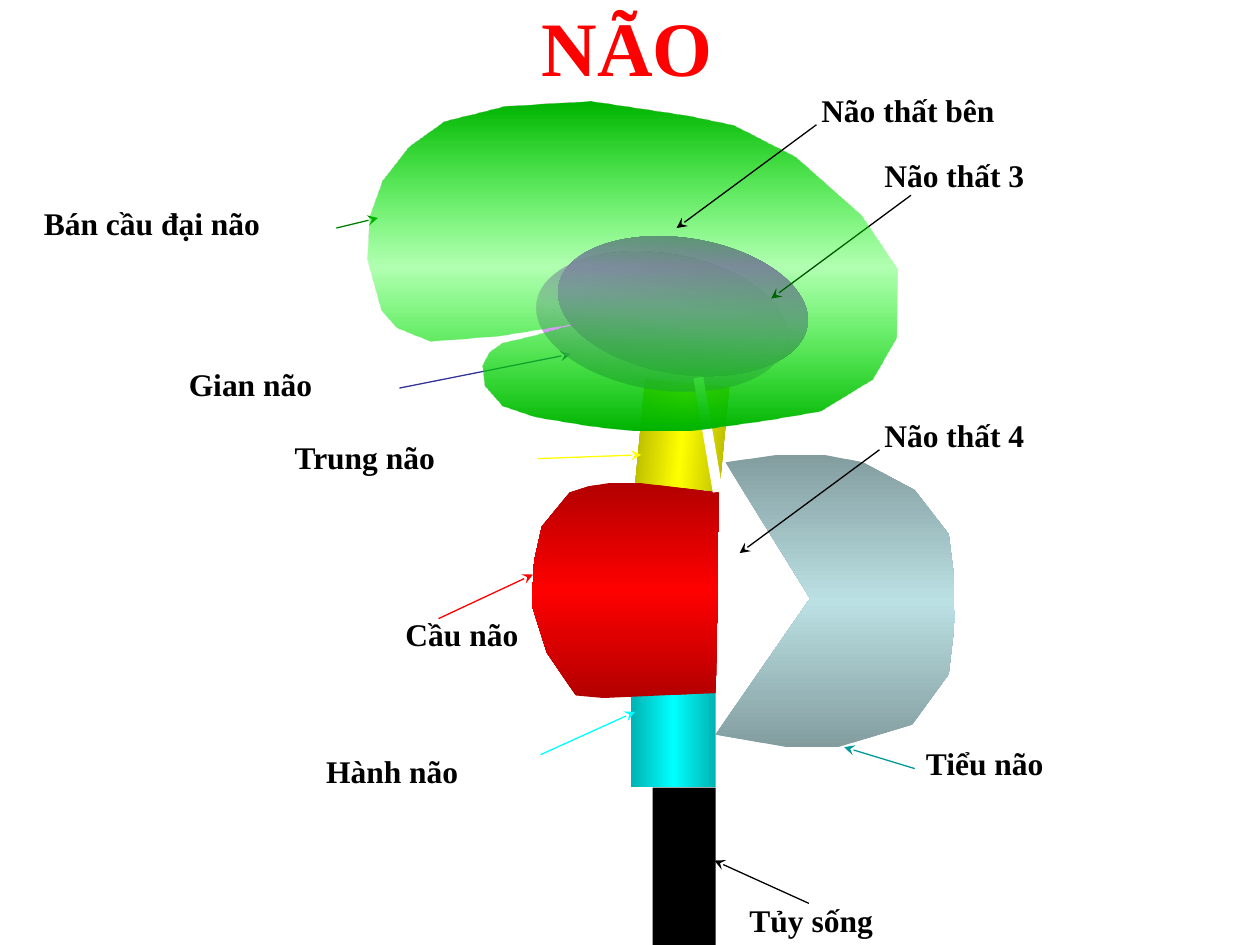
from lxml import etree
from pptx import Presentation, util as u
from pptx.dml.color import RGBColor
from pptx.enum import shapes as kinds, text as txt
from pptx.oxml.ns import qn

RECT, OVAL = kinds.MSO_SHAPE.RECTANGLE, kinds.MSO_SHAPE.OVAL
PONS = [(1.46, 1.67), (0.57, 1.71), (0.35, 1.69), (0.12, 1.35), (0, 0.97), (0.02, 0.62),
        (0.08, 0.35), (0.3, 0.08), (0.45, 0.03), (0.64, 0), (0.83, 0), (1.49, 0.08)]
CEREBELLUM = [(0.08, 0.06), (0.75, 1.14), (0, 2.22), (0.57, 2.32), (0.97, 2.32), (1.56, 2.14),
              (1.85, 1.74), (1.9, 1.31), (1.89, 0.95), (1.85, 0.63), (1.58, 0.28),
              (1.17, 0.06), (0.86, 0), (0.49, 0)]
CEREBRUM = [(1.65, 1.76), (1.02, 1.86), (0.5, 1.9), (0.23, 1.79), (0.11, 1.65), (0, 1.25),
            (0.02, 0.91), (0.12, 0.63), (0.33, 0.36), (0.61, 0.16), (1.09, 0.04), (1.77, 0),
            (2.51, 0.11), (2.9, 0.19), (3.39, 0.44), (3.91, 0.9), (4.2, 1.33), (4.19, 1.87),
            (4, 2.2), (3.59, 2.45), (3.19, 2.52), (2.55, 2.61), (2.12, 2.61), (1.77, 2.57),
            (1.34, 2.5), (1.07, 2.41), (0.93, 2.25), (0.91, 2.09), (0.97, 1.98),
            (1.07, 1.91), (1.25, 1.87)]


def tint(color, hue):
    """Set a colour from a hex string."""
    color.rgb = RGBColor.from_string(hue)


def paint(shape, edge, mid=None, angle=90, alpha=100):
    """Fill a shape flat, or shade it from edge to mid and back."""
    shape.shadow.inherit = False
    shape.line.fill.background()
    if mid is None:
        shape.fill.solid()
        tint(shape.fill.fore_color, edge)
        return
    shape.fill.gradient()
    shape.fill.gradient_angle = angle
    stops = shape.fill._fill._gradFill.find(qn("a:gsLst"))
    for old in list(stops):
        stops.remove(old)
    for place, hue, seen in ((0, edge, 100), (50, mid, alpha), (100, edge, 100)):
        stop = etree.SubElement(stops, qn("a:gs"), pos=str(place * 1000))
        color = etree.SubElement(stop, qn("a:srgbClr"), val=hue)
        if seen < 100:
            etree.SubElement(color, qn("a:alpha"), val=str(seen * 1000))


def block(group, kind, box, *fill, turn=0, **shade):
    """Place a painted preset shape in its box."""
    shape = group.shapes.add_shape(kind, *map(u.Inches, box))
    shape.rotation = turn
    paint(shape, *fill, **shade)


def lobe(group, left, top, points, *fill, **shade):
    """Place a painted outline whose points are relative to left and top."""
    spots = [(u.Inches(left + x), u.Inches(top + y)) for x, y in points]
    pen = group.shapes.build_freeform(*spots[0])
    pen.add_line_segments(spots[1:], close=True)
    paint(pen.convert_to_shape(), *fill, **shade)


def write(group, box, words, size, hue):
    """Add a text box with one bold run and return it."""
    area = group.shapes.add_textbox(*map(u.Inches, box))
    area.text_frame.word_wrap = True
    run = area.text_frame.paragraphs[0].add_run()
    run.text = words
    run.font.name, run.font.size, run.font.bold = "Times New Roman", u.Pt(size), True
    tint(run.font.color, hue)
    return area


def arrow(group, start, end, hue):
    """Draw a thin arrow from start to end."""
    line = group.shapes.add_connector(kinds.MSO_CONNECTOR.STRAIGHT,
                                      *map(u.Inches, (*start, *end)))
    line.line.width = u.Pt(0.75)
    tint(line.line.color, hue)
    etree.SubElement(line.line._ln, qn("a:tailEnd"), type="stealth")
    etree.SubElement(line._element.spPr, qn("a:effectLst"))


def note(group, left, top, width, words, tail, tip, hue="000000"):
    """Place a label and its arrow, both ends relative to the label."""
    start, end = [(left + x, top + y) for x, y in (tail, tip)]
    arrow(group, start, end, hue)
    area = write(group, (left, top, width, 0.4), words, 18, "000000")
    area.text_frame.auto_size = txt.MSO_AUTO_SIZE.SHAPE_TO_FIT_TEXT
    props = area.text_frame.paragraphs[0]._p.get_or_add_pPr()
    props.set("marL", str(u.Inches(0.5)))
    props.set("indent", str(-u.Inches(0.5)))


def title(slide, box):
    """Place the heading in its box."""
    frame = write(slide, box, "NÃO", 44, "FF0000").text_frame
    frame.vertical_anchor = txt.MSO_ANCHOR.MIDDLE
    frame.paragraphs[0].alignment = txt.PP_ALIGN.CENTER


def stem(slide):
    """Build the cord, medulla, midbrain and pons."""
    cord, bulb, mid, pons = [slide.shapes.add_group_shape() for _ in range(4)]
    block(cord, RECT, (5.18, 6.25, 0.5, 1.25), "000000")
    note(cord, 5.85, 7.1, 1.67, "Tủy sống", (0.57, 0.07), (-0.18, -0.27))
    block(bulb, RECT, (5.01, 5.5, 0.67, 0.75), "00B3B3", "00FFFF", angle=0)
    note(bulb, 2.49, 5.92, 2.76, "Hành não", (1.8, 0.07), (2.55, -0.27), "00FFFF")
    block(mid, RECT, (5.08, 3.04, 0.67, 0.83), "B3B300", "FFFF00", angle=0, turn=5.5)
    note(mid, 2.24, 3.43, 2.76, "Trung não", (2.03, 0.21), (2.85, 0.18), "FFFF00")
    note(pons, 3.12, 4.83, 1.74, "Cầu não", (0.36, 0.08), (1.11, -0.27), "FF0000")
    lobe(pons, 4.22, 3.83, PONS, "B30000", "FF0000")


def core(slide):
    """Build the two ovals of the diencephalon."""
    block(slide, OVAL, (4.42, 1.89, 2, 1.08), "8F47B3", "CC66FF", turn=8.9)
    group = slide.shapes.add_group_shape()
    note(group, 1.4, 2.85, 1.99, "Gian não", (1.77, 0.23), (3.13, -0.04), "333399")
    block(group, OVAL, (4.25, 2.01, 2, 1.08), "8F47B3", "CC66FF", turn=8.9, alpha=50)


def rear(slide):
    """Build the cerebellum."""
    group = slide.shapes.add_group_shape()
    lobe(group, 5.68, 3.61, CEREBELLUM, "839D9F", "BBE0E3")
    note(group, 7.25, 5.86, 1.59, "Tiểu não", (0.01, 0.24), (-0.55, 0.07), "009999")


def crown(slide):
    """Build the cerebral hemisphere."""
    group = slide.shapes.add_group_shape()
    note(group, 0.25, 1.57, 2.61, "Bán cầu đại não", (2.42, 0.24), (2.75, 0.16), "008000")
    lobe(group, 2.92, 0.81, CEREBRUM, "00B300", "00FF00", alpha=30)


def cavity(slide, left, top, width, words, tail=(0.06, 0.32), tip=(-1.05, 1.14)):
    """Label one ventricle."""
    note(slide.shapes.add_group_shape(), left, top, width, words, tail, tip)


def main():
    """Build and save the slide."""
    deck = Presentation()
    deck.slide_width, deck.slide_height = u.Inches(10), u.Inches(7.5)
    slide = deck.slides.add_slide(deck.slide_layouts[6])
    title(slide, (2.11, 0.14, 5.74, 0.45))
    stem(slide)
    core(slide)
    rear(slide)
    cavity(slide, 6.92, 3.25, 1.75, "Não thất 4")
    cavity(slide, 6.92, 1.19, 1.75, "Não thất 3", (0.31, 0.36), (-0.8, 1.18))
    block(slide, RECT, (5.58, 2.99, 0.08, 0.92), "FFFFFF", turn=350.3)
    crown(slide)
    cavity(slide, 6.42, 0.67, 2.5, "Não thất bên")
    deck.save("out.pptx")


if __name__ == "__main__":
    main()
